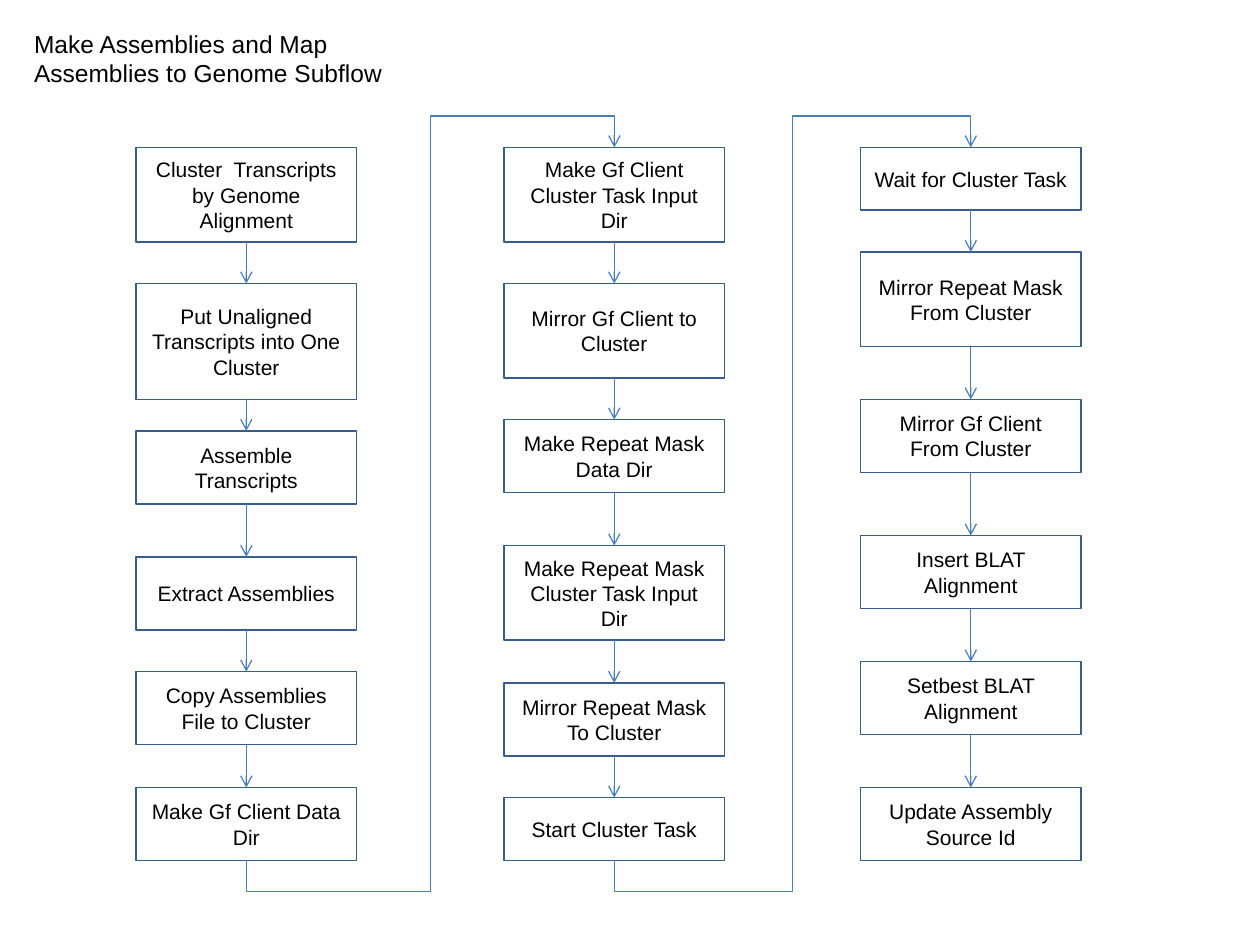
from itertools import pairwise

from lxml import etree
from pptx import Presentation
from pptx.dml.color import RGBColor
from pptx.enum.shapes import MSO_CONNECTOR, MSO_SHAPE
from pptx.enum.text import MSO_ANCHOR, MSO_AUTO_SIZE, PP_ALIGN
from pptx.oxml.ns import qn
from pptx.util import Inches, Pt

RECTANGLE = MSO_SHAPE.RECTANGLE
STRAIGHT, ELBOW = MSO_CONNECTOR.STRAIGHT, MSO_CONNECTOR.ELBOW
TOP_ANCHOR, MIDDLE_ANCHOR = MSO_ANCHOR.TOP, MSO_ANCHOR.MIDDLE
LEFT, CENTER = PP_ALIGN.LEFT, PP_ALIGN.CENTER
GROW = MSO_AUTO_SIZE.SHAPE_TO_FIT_TEXT
TOP_SITE, BOTTOM_SITE = 0, 2

COLORS = {"text": "000000", "border": "385D8A", "arrow": "4A7EBB"}
FONT = "Arial"
BOX_WIDTH = 1.75
DETOUR = 0.25

TITLE = "Make Assemblies and Map Assemblies to Genome Subflow"
COLUMNS = [
    (1.08, [
        (1.17, 0.75, "Cluster  Transcripts by Genome Alignment"),
        (2.25, 0.92, "Put Unaligned Transcripts into One Cluster"),
        (3.42, 0.58, "Assemble Transcripts"),
        (4.42, 0.58, "Extract Assemblies"),
        (5.33, 0.58, "Copy Assemblies File to Cluster"),
        (6.25, 0.58, "Make Gf Client Data Dir"),
    ]),
    (4, [
        (1.17, 0.75, "Make Gf Client Cluster Task Input Dir"),
        (2.25, 0.75, "Mirror Gf Client to Cluster"),
        (3.33, 0.58, "Make Repeat Mask Data Dir"),
        (4.33, 0.75, "Make Repeat Mask Cluster Task Input Dir"),
        (5.42, 0.58, "Mirror Repeat Mask To Cluster"),
        (6.33, 0.5, "Start Cluster Task"),
    ]),
    (6.83, [
        (1.17, 0.5, "Wait for Cluster Task"),
        (2, 0.75, "Mirror Repeat Mask From Cluster"),
        (3.17, 0.58, "Mirror Gf Client From Cluster"),
        (4.25, 0.58, "Insert BLAT Alignment"),
        (5.25, 0.58, "Setbest BLAT Alignment"),
        (6.25, 0.58, "Update Assembly Source Id"),
    ]),
]


class FlowPage:
    """Draws the parts of a flow chart on one page in a shared style."""

    def __init__(self, page):
        self.page = page

    def color(self, name):
        return RGBColor.from_string(COLORS[name])

    def add_text(self, shape, text, size, align, anchor):
        frame = shape.text_frame
        frame.word_wrap = True
        frame.vertical_anchor = anchor
        para = frame.paragraphs[0]
        para.alignment = align
        span = para.add_run()
        span.text = text
        span.font.name = FONT
        span.font.size = Pt(size)
        span.font.color.rgb = self.color("text")

    def title(self, text, left, top, width, height):
        title = self.page.shapes.title
        title.left, title.top = Inches(left), Inches(top)
        title.width, title.height = Inches(width), Inches(height)
        self.add_text(title, text, 14, LEFT, TOP_ANCHOR)
        title.text_frame.auto_size = GROW

    def box(self, text, left, top, height):
        box = self.page.shapes.add_shape(
            RECTANGLE, Inches(left), Inches(top), Inches(BOX_WIDTH), Inches(height))
        box.shadow.inherit = False
        box.fill.background()
        box.line.color.rgb = self.color("border")
        box.line.width = Pt(1)
        self.add_text(box, text, 12, CENTER, MIDDLE_ANCHOR)
        return box

    def arrow(self, source, target, kind=STRAIGHT):
        arrow = self.page.shapes.add_connector(kind, 0, 0, 0, 0)
        arrow.begin_connect(source, BOTTOM_SITE)
        arrow.end_connect(target, TOP_SITE)
        arrow.line.color.rgb = self.color("arrow")
        arrow.line.width = Pt(0.75)
        properties = arrow.element.spPr
        etree.SubElement(properties.find(qn("a:ln")), qn("a:tailEnd"), type="arrow")
        etree.SubElement(properties, qn("a:effectLst"))
        return arrow

    def detour_arrow(self, source, target):
        arrow = self.arrow(source, target, ELBOW)
        across, rise = arrow.width, arrow.height
        center_x, center_y = arrow.left + across // 2, arrow.top + rise // 2
        arrow.left, arrow.top = center_x - rise // 2, center_y - across // 2
        arrow.width, arrow.height = rise, across
        properties = arrow.element.spPr
        frame = properties.find(qn("a:xfrm"))
        for name, value in (("rot", "5400000"), ("flipH", "1"), ("flipV", "1")):
            frame.set(name, value)
        geometry = properties.find(qn("a:prstGeom"))
        geometry.set("prst", "bentConnector5")
        guides = geometry.find(qn("a:avLst"))
        overshoot = round(100000 * Inches(DETOUR) / rise)
        for number, value in enumerate((-overshoot, 50000, 100000 + overshoot), 1):
            etree.SubElement(guides, qn("a:gd"), name=f"adj{number}", fmla=f"val {value}")


def main():
    deck = Presentation()
    deck.slide_width, deck.slide_height = Inches(10), Inches(7.5)
    flow = FlowPage(deck.slides.add_slide(deck.slide_layouts[5]))
    flow.title(TITLE, 0.17, 0.18, 3.25, 0.57)
    columns = [[flow.box(text, left, top, height) for top, height, text in steps]
               for left, steps in COLUMNS]
    for boxes in columns:
        for source, target in pairwise(boxes):
            flow.arrow(source, target)
    for before, after in pairwise(columns):
        flow.detour_arrow(before[-1], after[0])
    deck.save("out.pptx")


if __name__ == "__main__":
    main()
